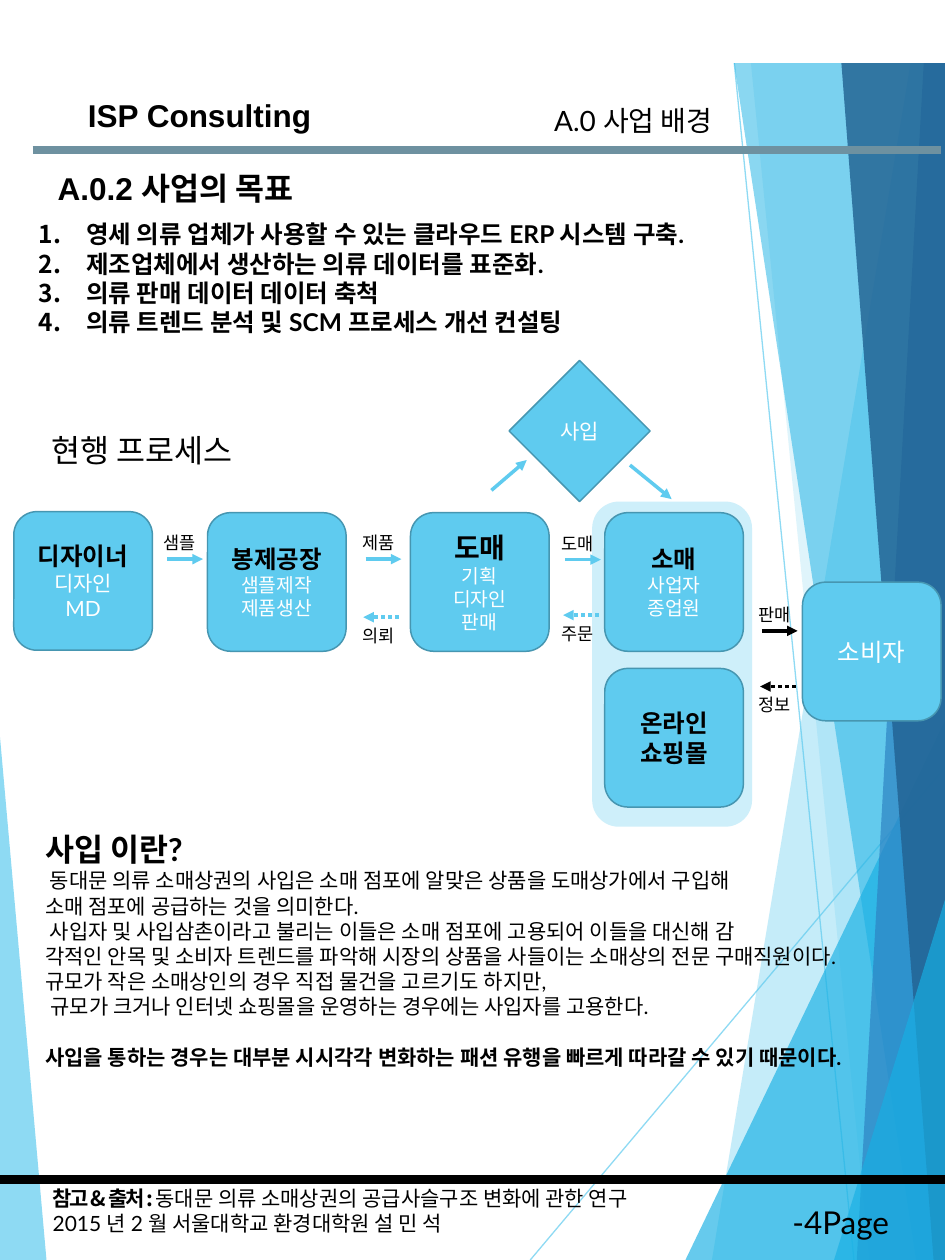
import pptx
import pptx.util
import pptx.dml.color
import pptx.enum.dml
import pptx.enum.shapes
import pptx.enum.text
import pptx.oxml.ns
from lxml import etree

Pt = pptx.util.Pt
RGB = pptx.dml.color.RGBColor
Kind = pptx.enum.shapes.MSO_SHAPE
Align = pptx.enum.text.PP_ALIGN
Fit = pptx.enum.text.MSO_AUTO_SIZE
Dash = pptx.enum.dml.MSO_LINE
qn = pptx.oxml.ns.qn

SKY = RGB(0x5F, 0xCB, 0xEF)
CYAN = RGB(0x17, 0xB0, 0xE4)
BLUE = RGB(0x2E, 0x83, 0xC3)
NAVY = RGB(0x22, 0x62, 0x92)
EDGE = RGB(0x46, 0x96, 0xB1)
SLATE = RGB(0x6E, 0x91, 0xA0)
BLACK = RGB(0, 0, 0)
WHITE = RGB(255, 255, 255)
NBSP = chr(160)


def fade(shape, part, alpha):
    for color in shape._element.spPr.find(qn(part)).iter(qn("a:srgbClr")):
        etree.SubElement(color, qn("a:alpha"), val=str(alpha * 1000))


def paint(shape, fill, alpha=100, edge=None):
    shape.shadow.inherit = False
    shape.fill.solid()
    shape.fill.fore_color.rgb = fill
    if alpha < 100:
        fade(shape, "a:solidFill", alpha)
    if edge is None:
        shape.line.fill.background()
    else:
        shape.line.color.rgb = edge
        shape.line.width = Pt(0.85)


def style(para, size, bold=False, color=BLACK, face="Lato"):
    font = para.font
    font.size, font.bold, font.name = Pt(size), bold, face
    font.color.rgb = color


def add_line(slide, start, end, color, width, alpha=100, dash=None, arrow=False):
    line = slide.shapes.add_connector(
        pptx.enum.shapes.MSO_CONNECTOR.STRAIGHT, *[Pt(v) for v in (*start, *end)])
    line.line.color.rgb = color
    line.line.width = Pt(width)
    if dash:
        line.line.dash_style = dash
    if alpha < 100:
        fade(line, "a:ln", alpha)
    props = line._element.spPr
    if arrow:
        etree.SubElement(props.find(qn("a:ln")), qn("a:tailEnd"), type="triangle")
    etree.SubElement(props, qn("a:effectLst"))


def add_text(slide, box, lines, wrap=False):
    frame = slide.shapes.add_textbox(*[Pt(v) for v in box]).text_frame
    frame.word_wrap = wrap
    frame.auto_size = Fit.SHAPE_TO_FIT_TEXT
    fill_text(frame, lines)
    return frame


def fill_text(frame, lines, align=None):
    for i, (text, *look) in enumerate(lines):
        para = frame.add_paragraph() if i else frame.paragraphs[0]
        para.text = text
        para.alignment = align
        style(para, *look)


def add_node(slide, box, lines, kind=Kind.ROUNDED_RECTANGLE):
    node = slide.shapes.add_shape(kind, *[Pt(v) for v in box])
    paint(node, SKY, edge=EDGE)
    node.text_frame.word_wrap = True
    node.text_frame.vertical_anchor = pptx.enum.text.MSO_ANCHOR.MIDDLE
    fill_text(node.text_frame, lines, Align.CENTER)


def add_bands(slide, x, y, w, h):
    right, base = x + w, y + h
    add_line(slide, (x + 303, base), (right, y + 438.5), SKY, 0.75, 70)
    add_line(slide, (x + 416, y), (x + 488, base), SKY, 0.75, 70)
    bands = [
        (SKY, 70, [(0, 421), (26.6, h), (0, h)]),
        (SKY, 36, [(526.3, 0), (406.8, h), (w, h), (w, 0)]),
        (SKY, 20, [(425.5, 0), (496.8, h), (w, h), (w, 0)]),
        (CYAN, 66, [(391.7, h), (w, 411.8), (w, h)]),
        (CYAN, 50, [(414, 0), (523.4, h), (w, h), (w, 0)]),
        (BLUE, 70, [(529.9, 0), (489.6, h), (w, h), (w, 0)]),
        (NAVY, 82, [(478, 0), (533.5, h), (w, h), (w, 0)]),
        (CYAN, 66, [(476.6, h), (w, 514), (w, h)]),
    ]
    for color, alpha, path in bands:
        first, *rest = [(Pt(x + a), Pt(y + b)) for a, b in path]
        form = slide.shapes.build_freeform(*first)
        form.add_line_segments(rest)
        paint(form.convert_to_shape(), color, alpha)
    strip = slide.shapes.add_shape(Kind.RECTANGLE, Pt(x), Pt(y), Pt(w), Pt(36))
    paint(strip, WHITE)


def add_header(slide, x, y, w):
    add_line(slide, (x + 18.7, y + 49.7), (x + w - 2.2, y + 49.7), SLATE, 5)
    add_text(slide, (x + 309.6, y + 19.4, 113, 26.6), [("A.0 사업 배경", 16)])
    add_text(slide, (x + 43.2, y + 15.1, 149, 28.8),
             [("ISP Consulting", 18, True, BLACK, "Arial")])


def add_goals(slide, x, y, w):
    add_text(slide, (x + 10.8, y, 157.7, 28.8),
             [("A.0.2 사업의 목표", 18, True, BLACK, "Arial")])
    goals = [
        "영세 의류 업체가 사용할 수 있는 클라우드 ERP 시스템 구축.",
        "제조업체에서 생산하는 의류 데이터를 표준화.",
        "의류 판매 데이터 데이터 축척",
        "의류 트렌드 분석 및 SCM 프로세스 개선 컨설팅",
    ]
    frame = add_text(slide, (x, y + 28.8, w, 75), [(g, 14, True) for g in goals], True)
    for para in frame.paragraphs:
        props = para._p.get_or_add_pPr()
        props.set("marL", str(Pt(27)))
        props.set("indent", str(Pt(-27)))
        mark = etree.Element(qn("a:buAutoNum"), type="arabicPeriod")
        props.insert(0, mark)


def add_flow(slide, x, y):
    side = 79.2
    add_text(slide, (x + 22.3, y + 36.7, 129, 28.8), [("현행 프로세스", 18)])
    group = slide.shapes.add_shape(
        Kind.ROUNDED_RECTANGLE, Pt(x + 338.4), Pt(y + 80.6), Pt(91.4), Pt(185.8))
    paint(group, SKY, 30)
    nodes = [
        (7.9, 86.4, 14, ["디자이너"], 12, ["디자인", "MD"]),
        (118.6, 87, 14, ["봉제공장"], 11, ["샘플제작", "제품생산"]),
        (234.6, 87, 16, ["도매"], 11, ["기획", "디자인", "판매"]),
        (345.6, 87, 14, ["소매"], 11, ["사업자", "종업원"]),
        (345.6, 176, 14, ["온라인", "쇼핑몰"], 11, []),
        (458.6, 126.7, 14, [], 14, ["소비자"]),
    ]
    for left, top, big, heads, small, notes in nodes:
        lines = [(t, big, True) for t in heads]
        lines += [(t, small, False, WHITE) for t in notes]
        add_node(slide, (x + left, y + top, side, side), lines)
    add_node(slide, (x + 290.9, y, 80.6, 80.6), [("사입", 12, False, WHITE)], Kind.DIAMOND)

    links = [
        (95.6, 113.5, "샘플", 86.4, 94.3, SKY, False),
        (209, 113.5, "제품", 200.2, 94.3, SKY, False),
        (207.6, 146.7, "의뢰", 200.2, 147.6, SKY, True),
        (323, 113.8, "도매", 313.9, 95, SKY, False),
        (321.8, 145.5, "주문", 313.9, 146.2, SKY, True),
        (435.4, 154.5, "판매", 426.2, 135.4, BLACK, False),
        (434.4, 186.3, "정보", 426.2, 187.2, BLACK, True),
    ]
    for left, level, label, across, down, color, back in links:
        ends = [(x + left, y + level), (x + left + 20.4, y + level)]
        if back:
            ends.reverse()
        add_line(slide, *ends, color, 2, dash=Dash.ROUND_DOT if back else None, arrow=True)
        add_text(slide, (x + across, y + down, 34.6, 19.4), [(label, 10)])
    for start, end in [((280.8, 74.2), (301, 56.9)), ((360, 59.8), (383.8, 79.2))]:
        add_line(slide, (x + start[0], y + start[1]), (x + end[0], y + end[1]),
                 SKY, 2, arrow=True)


def add_notes(slide, x, y, w):
    body = [
        " 동대문 의류 소매상권의 사입은 소매 점포에 알맞은 상품을 도매상가에서 구입해",
        "소매 점포에 공급하는 것을 의미한다.",
        " 사입자 및 사입삼촌이라고 불리는 이들은 소매 점포에 고용되어 이들을 대신해 감",
        "각적인 안목 및 소비자 트렌드를 파악해 시장의 상품을 사들이는 소매상의 전문 구매직원이다.",
        "규모가 작은 소매상인의 경우 직접 물건을 고르기도 하지만, "
        "규모가 크거나 인터넷 쇼핑몰을 운영하는 경우에는 사입자를 고용한다.",
    ]
    close = "사입을 통하는 경우는 대부분 시시각각 변화하는 패션 유행을 빠르게 따라갈 수 있기 때문이다."
    lines = [("사입 이란?", 18, True)]
    lines += [(t.replace(" ", NBSP), 12) for t in body]
    lines.append((close.replace(" ", NBSP), 12, True))
    frame = add_text(slide, (x, y, w, 174), lines, True)
    frame.paragraphs[-1].space_before = Pt(14.5)


def add_footer(slide, x, y, w):
    frame = add_text(slide, (x + 23, y, 425.5, 51), [
        ("", 12), ("2015 년 2 월 서울대학교 환경대학원 설 민 석", 12)], True)
    first = frame.paragraphs[0]
    label = first.add_run()
    label.text = "참고 & 출처 : "
    label.font.bold = True
    label.font.name = "Noto Sans CJK KR"
    label._r.get_or_add_rPr().set("spc", "-150")
    first.add_run().text = "동대문 의류 소매상권의 공급사슬구조 변화에 관한 연구"
    add_line(slide, (x, y), (x + w, y), BLACK, 5)
    add_text(slide, (x + 445.7, y + 10, 75.6, 28.8), [("-4Page-", 18)])


def main():
    deck = pptx.Presentation()
    deck.slide_width, deck.slide_height = Pt(540), Pt(720)
    slide = deck.slides.add_slide(deck.slide_layouts[6])
    add_bands(slide, 0, 0, 540, 720)
    add_header(slide, 0, 36, 540)
    add_goals(slide, 15.1, 92.9, 460)
    add_flow(slide, 0, 206)
    add_notes(slide, 18.7, 470.9, 489.6)
    add_footer(slide, 0, 673.9, 540)
    deck.save("out.pptx")


if __name__ == "__main__":
    main()
